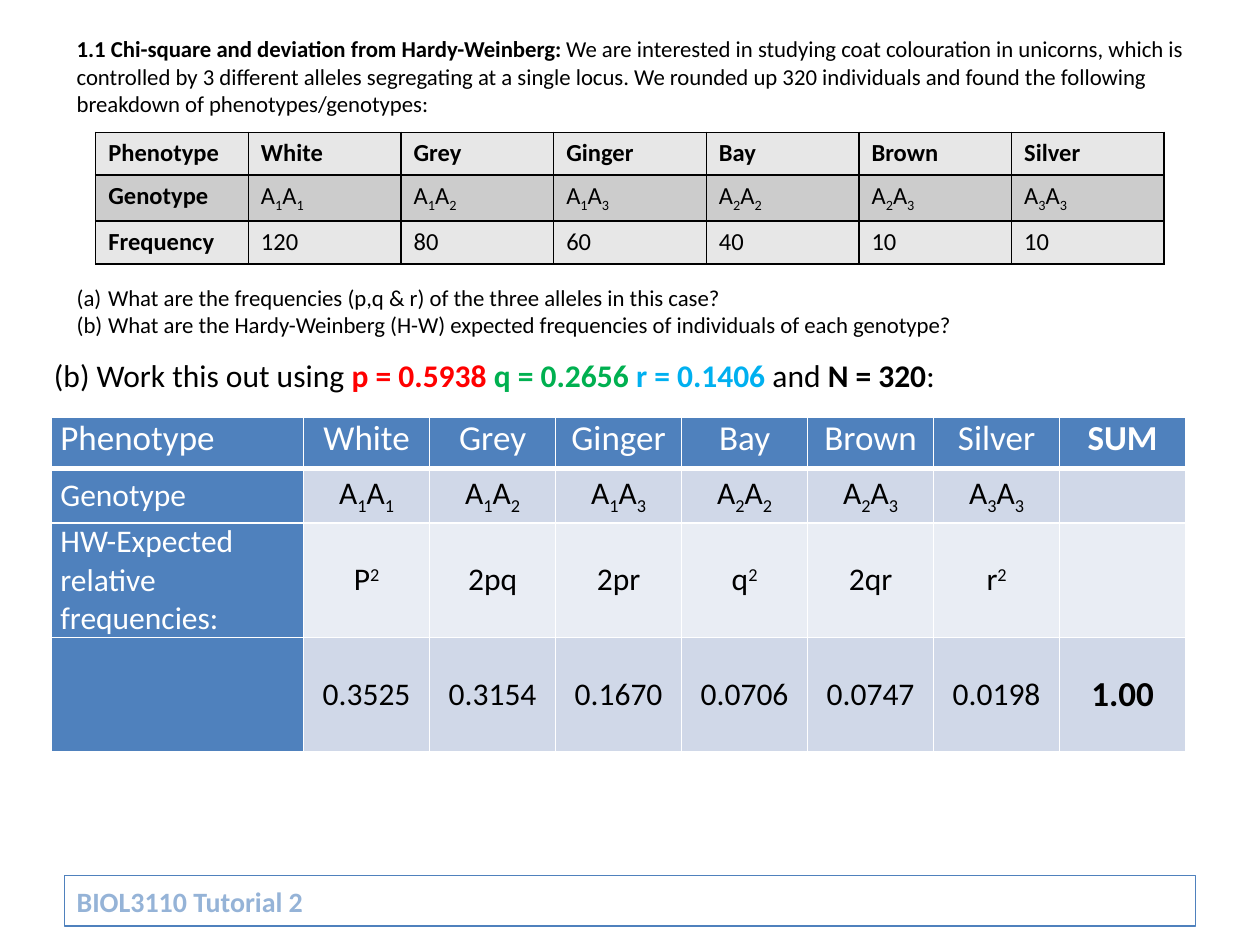
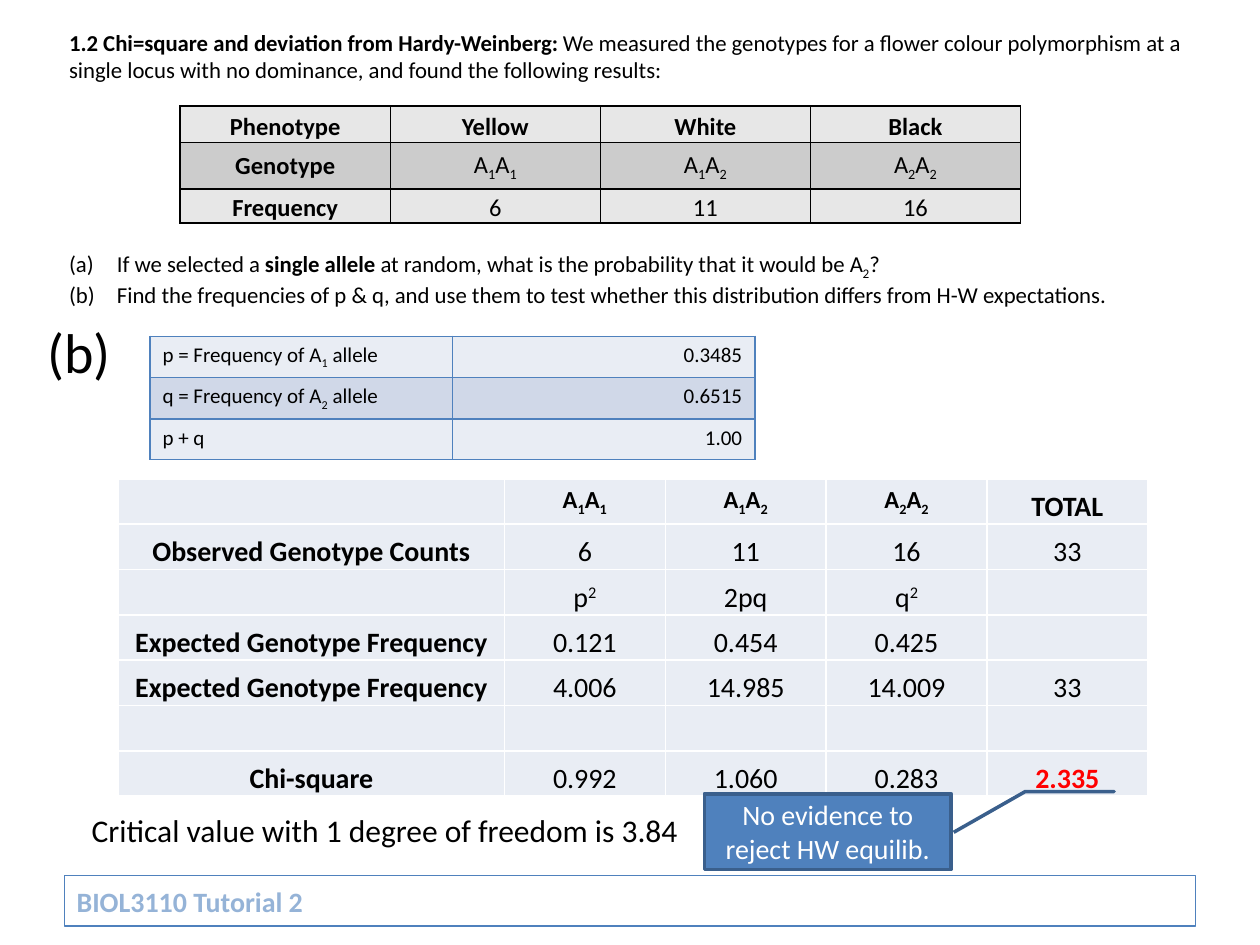
from lxml import etree
from pptx import Presentation
from pptx.dml.color import RGBColor
from pptx.enum import shapes, text
from pptx.oxml import ns
from pptx.util import Inches, Pt

# ---- Content: *bold*, _x subscript, ^x superscript ----
FOOTER = "BIOL3110 Tutorial 2"

UNICORN_QUESTION = [
    "*1.1 Chi-square and deviation from Hardy-Weinberg:* We are interested in studying coat "
    "colouration in unicorns, which is controlled by 3 different alleles segregating at a single "
    "locus. We rounded up 320 individuals and found the following breakdown of "
    "phenotypes/genotypes:",
    "What are the frequencies (p,q & r) of the three alleles in this case?",
    "What are the Hardy-Weinberg (H-W) expected frequencies of individuals of each genotype?",
]
COATS = ["White", "Grey", "Ginger", "Bay", "Brown", "Silver"]
COAT_GENOTYPES = ["A_1A_1", "A_1A_2", "A_1A_3", "A_2A_2", "A_2A_3", "A_3A_3"]
UNICORN_COUNTS = [
    ["*Phenotype"] + ["*" + coat for coat in COATS],
    ["*Genotype"] + COAT_GENOTYPES,
    ["*Frequency", "120", "80", "60", "40", "10", "10"],
]
UNICORN_METHOD = [
    ("(b) Work this out using ", "black"), ("*p = 0.5938 ", "red"), ("*q = 0.2656 ", "green"),
    ("*r = 0.1406 ", "sky"), ("and *N = 320*:", "black"),
]
UNICORN_EXPECTED = [
    ["Phenotype"] + COATS + ["*SUM"],
    ["Genotype"] + COAT_GENOTYPES + [""],
    ["HW-Expected relative frequencies:", "P^2", "2pq", "2pr", "q^2", "2qr", "r^2", ""],
    ["", "0.3525", "0.3154", "0.1670", "0.0706", "0.0747", "0.0198", "*1.00"],
]

FLOWER_QUESTION = [
    "*1.2 Chi=square and deviation from Hardy-Weinberg:* We measured the genotypes for a flower "
    "colour polymorphism at a single locus with no dominance, and found the following results:",
    "If we selected a *single allele* at random, what is the probability that it would be A_2?",
    "Find the frequencies of p & q, and use them to test whether this distribution differs "
    "from H-W expectations.",
]
FLOWER_GENOTYPES = ["A_1A_1", "A_1A_2", "A_2A_2"]
FLOWER_OBSERVED = ["6", "11", "16"]
FLOWER_COUNTS = [
    ["*Phenotype", "*Yellow", "*White", "*Black"],
    ["*Genotype"] + FLOWER_GENOTYPES,
    ["*Frequency"] + FLOWER_OBSERVED,
]
ALLELES = [
    ["p = Frequency of A_1 allele", "0.3485"],
    ["q = Frequency of A_2 allele", "0.6515"],
    ["p + q", "1.00"],
]
CHI_SQUARE = [
    [""] + ["*" + genotype for genotype in FLOWER_GENOTYPES] + ["*TOTAL"],
    ["*Observed Genotype Counts"] + FLOWER_OBSERVED + ["33"],
    ["", "p^2", "2pq", "q^2", ""],
    ["*Expected Genotype Frequency", "0.121", "0.454", "0.425", ""],
    ["*Expected Genotype Frequency", "4.006", "14.985", "14.009", "33"],
    ["", "", "", "", ""],
    ["*Chi-square", "0.992", "1.060", "0.283", "*2.335"],
]
CRITICAL_VALUE = "Critical value with 1 degree of freedom is 3.84"
VERDICT = "No evidence to reject HW equilib."

# ---- Theme ----
THEME = {
    "font": "Calibri",
    "colours": {
        "black": "000000", "white": "FFFFFF", "blue": "4F81BD", "edge": "3A5F8C",
        "footer": "95B3D7", "pale": "E9EDF4", "band": "D0D8E8", "grey": "E7E7E7",
        "dark grey": "CCCCCC", "red": "FF0000", "green": "00B050", "sky": "00B0F0",
    },
    "sizes": {"small": 12, "question": 13, "cell": 14, "label": 16, "body": 18,
              "head": 20, "part": 32},
}
ALIGN = {"l": text.PP_ALIGN.LEFT, "c": text.PP_ALIGN.CENTER, "r": text.PP_ALIGN.RIGHT}
ANCHOR = {"t": text.MSO_ANCHOR.TOP, "m": text.MSO_ANCHOR.MIDDLE, "b": text.MSO_ANCHOR.BOTTOM}
LINE_HEIGHT = 1.22
TIGHT = (0.01, 0.01, 0.01, 0)
ROOMY = (0.1, 0.05, 0.1, 0.05)


def colour(name):
    return RGBColor.from_string(THEME["colours"][name])


def paint(target, name):
    target.solid()
    target.fore_color.rgb = colour(name)


# ---- Text ----
def split_marks(marked):
    """Yield (text, bold, baseline) pieces of a marked string."""
    bold, baseline, piece = False, 0, ""
    for char in marked:
        if baseline:
            yield char, bold, baseline
            baseline = 0
        elif char in "*_^":
            if piece:
                yield piece, bold, 0
            piece = ""
            bold ^= char == "*"
            baseline = {"_": -25000, "^": 30000}.get(char, 0)
        else:
            piece += char
    if piece:
        yield piece, bold, 0


def write(paragraph, content, size, tint="black", align="l"):
    paragraph.alignment = ALIGN[align]
    spans = [(content, tint)] if isinstance(content, str) else content
    for marked, span_tint in spans:
        for piece, bold, baseline in split_marks(marked):
            run = paragraph.add_run()
            run.text = piece
            formats = {"name": THEME["font"], "size": Pt(THEME["sizes"][size]), "bold": bold}
            for key, value in formats.items():
                setattr(run.font, key, value)
            run.font.color.rgb = colour(span_tint)
            if baseline:
                run.font._element.set("baseline", str(baseline))


def add_text(slide, box, content, size):
    frame = slide.shapes.add_textbox(*map(Inches, box)).text_frame
    frame.word_wrap = True
    write(frame.paragraphs[0], content, size)
    return frame


def add_question(slide, box, question, gap_lines, indent):
    """Introduction, a gap for the table, then lettered questions."""
    intro, *parts = question
    frame = add_text(slide, box, intro, "question")
    for index, part in enumerate(parts):
        paragraph = frame.add_paragraph()
        props = paragraph._p.get_or_add_pPr()
        props.set("marL", str(Inches(indent)))
        props.set("indent", str(-Inches(indent)))
        etree.SubElement(props, ns.qn("a:buFont"), typeface="+mj-lt")
        etree.SubElement(props, ns.qn("a:buAutoNum"), type="alphaLcParenBoth")
        if index == 0:
            paragraph.space_before = Pt(gap_lines * LINE_HEIGHT * THEME["sizes"]["question"])
        write(paragraph, part, "question")


def add_panel(slide, kind, box, fill, edge, width, content, tint, align):
    panel = slide.shapes.add_shape(kind, *map(Inches, box))
    panel.shadow.inherit = False
    paint(panel.fill, fill)
    panel.line.color.rgb = colour(edge)
    panel.line.width = Pt(width)
    panel.text_frame.word_wrap = True
    panel.text_frame.vertical_anchor = ANCHOR["m"]
    write(panel.text_frame.paragraphs[0], content, "label", tint, align)
    return panel


# ---- Tables ----
def set_borders(cell, tint, widths):
    props = cell._tc.get_or_add_tcPr()
    for index, (side, width) in enumerate(zip("LRTB", widths)):
        line = etree.Element(ns.qn("a:ln" + side), w=str(Pt(width)))
        solid = etree.SubElement(line, ns.qn("a:solidFill"))
        etree.SubElement(solid, ns.qn("a:srgbClr"), val=THEME["colours"][tint])
        props.insert(index, line)


def add_table(slide, at, shares, heights, cells, fills, border, size, aligns,
              anchors, insets, special=None, head_rule=1):
    """shares: relative column widths; special: {(row, column): cell styles}."""
    left, top, width = at
    frame = slide.shapes.add_table(len(cells), len(shares), Inches(left), Inches(top),
                                   Inches(width), Inches(sum(heights)))
    table = frame.table
    table.first_row = table.horz_banding = False
    for column, share in zip(table.columns, shares):
        column.width = Inches(width * share / sum(shares))
    for r, row in enumerate(cells):
        table.rows[r].height = Inches(heights[r])
        for c, content in enumerate(row):
            style = {"fill": fills[r], "tint": "black", "size": size, "anchor": anchors[r]}
            style.update((special or {}).get((r, c), {}))
            cell = table.cell(r, c)
            sides = ("margin_left", "margin_top", "margin_right", "margin_bottom")
            for side, inset in zip(sides, insets):
                setattr(cell, side, Inches(inset))
            cell.vertical_anchor = ANCHOR[style["anchor"]]
            paint(cell.fill, style["fill"])
            set_borders(cell, border, (1, 1, head_rule if r == 1 else 1,
                                       head_rule if r == 0 else 1))
            write(cell.text_frame.paragraphs[0], content, style["size"], style["tint"], aligns[c])


# ---- Slides ----
def new_slide(deck):
    slide = deck.slides.add_slide(deck.slide_layouts[6])
    add_panel(slide, shapes.MSO_SHAPE.RECTANGLE, (0.51, 6.95, 8.98, 0.4), "white", "blue", 0.75,
              "*" + FOOTER, "footer", "l")
    return slide


def unicorn_slide(deck):
    slide = new_slide(deck)
    add_text(slide, (0.33, 2.78, 9.22, 0.45), UNICORN_METHOD, "body")

    # Expected frequencies: blue header row and first column
    special = {(0, c): {"tint": "white", "size": "head"} for c in range(8)}
    special.update({(r, 0): {"fill": "blue", "tint": "white"} for r in range(1, 4)})
    special[3, 7] = {"size": "head"}
    add_table(slide, (0.41, 3.31, 9), [2] + [1] * 7, [0.41, 0.43, 0.91, 0.91], UNICORN_EXPECTED,
              ["blue", "band", "pale", "band"], "white", "body", "lccccccc", "tmmm",
              (0.07, 0, 0.07, 0), special, head_rule=3)

    add_question(slide, (0.51, 0.23, 8.98, 2.74), UNICORN_QUESTION, 6, 0.25)
    add_table(slide, (0.76, 1.05, 8.48), [1] * 7, [0.34] * 3, UNICORN_COUNTS,
              ["grey", "dark grey", "grey"], "black", "cell", "lllllll", "ttt", ROOMY)


def flower_slide(deck):
    slide = new_slide(deck)
    add_question(slide, (0.45, 0.18, 9.1, 2.29), FLOWER_QUESTION, 6, 0.38)
    add_text(slide, (0.28, 2.47, 0.9, 0.65), "(b)", "part")

    # Chi-square working
    special = {(0, c): {"size": "cell", "anchor": "m"} for c in range(1, 4)}
    special[6, 4] = {"tint": "red"}
    add_table(slide, (0.94, 3.8, 8.17), [2.4] + [1] * 4, [0.36] * 7, CHI_SQUARE, ["pale"] * 7,
              "white", "label", "ccccc", "bbbbbbb", TIGHT, special)

    # Conclusion, with the callout pointing at the total
    add_text(slide, (0.63, 6.39, 4.96, 0.4), CRITICAL_VALUE, "body")
    callout = add_panel(slide, shapes.MSO_SHAPE.LINE_CALLOUT_3, (5.59, 6.3, 1.96, 0.6), "blue",
                        "edge", 2, VERDICT, "white", "c")
    for index, bend in enumerate((-0.03, 1.31, -0.03, 1.66, -0.03, 1.3, 0.51, 1.01)):
        callout.adjustments[index] = bend

    add_table(slide, (1.19, 2.67, 4.8), [1, 1], [0.32] * 3, ALLELES, ["pale", "band", "pale"],
              "blue", "small", "lr", "ttt", ROOMY)
    add_table(slide, (1.43, 0.84, 6.67), [1] * 4, [0.29, 0.37, 0.27], FLOWER_COUNTS,
              ["grey", "dark grey", "grey"], "black", "cell", "cccc", "bmb", TIGHT)


def main():
    deck = Presentation()
    deck.slide_width, deck.slide_height = Inches(10), Inches(7.5)
    unicorn_slide(deck)
    flower_slide(deck)
    deck.save("out.pptx")


if __name__ == "__main__":
    main()
